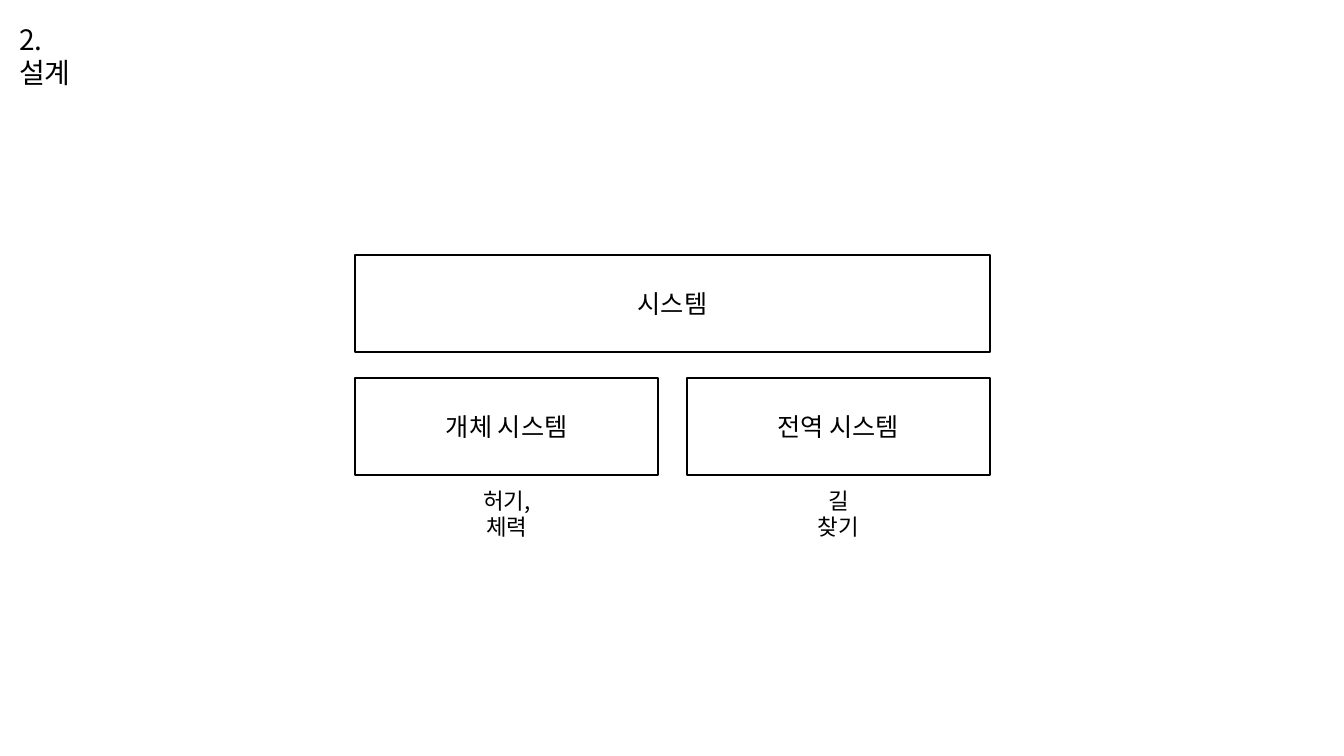
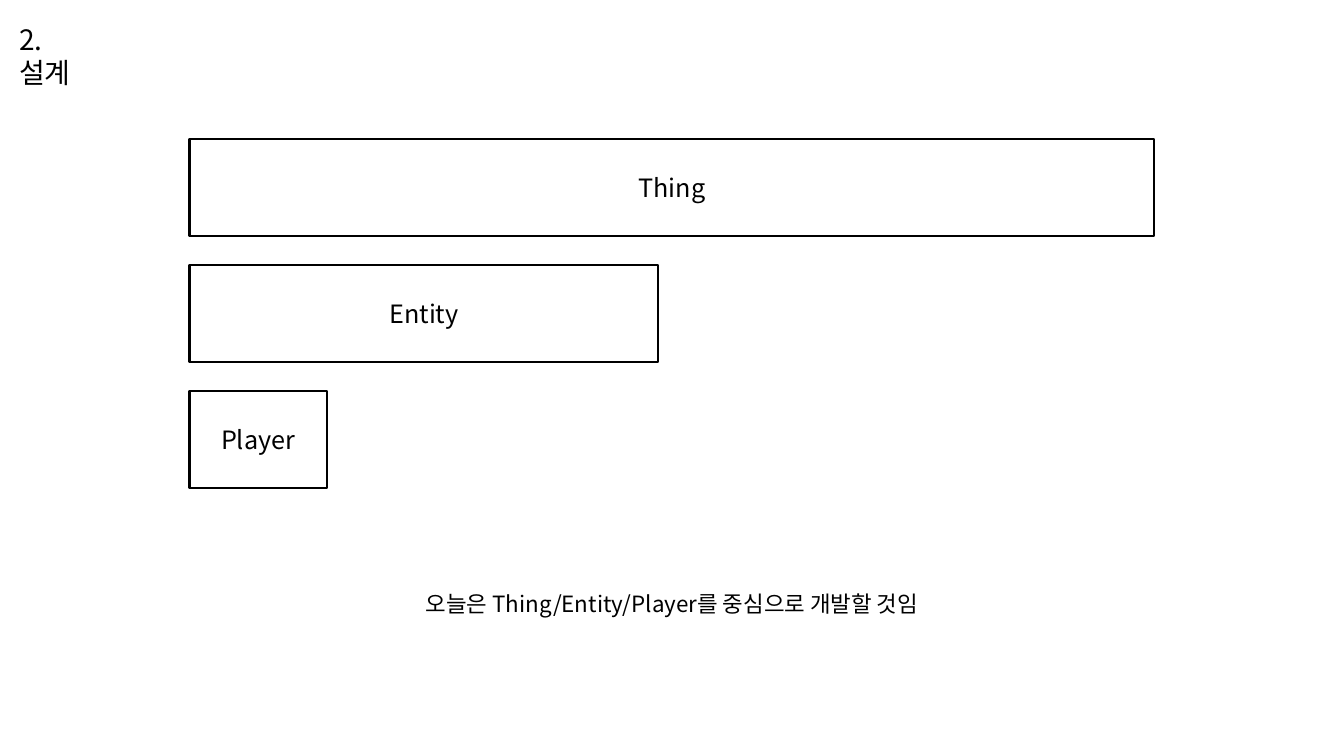
from lxml import etree
from pptx import Presentation
from pptx.dml.color import RGBColor
from pptx.enum import shapes, text
from pptx.oxml.ns import qn
from pptx.util import Inches, Pt

BLACK = RGBColor(0, 0, 0)
WHITE = RGBColor(255, 255, 255)
FONT = "Noto Sans CJK KR"
TITLE = "2. 설계"
HIGH = 0.96

SYSTEM = "시스템"
PARTS = [("개체 시스템", "허기, 체력", 1.12), ("전역 시스템", "길 찾기", 0.8)]
LEFT, TOP, WIDE, GAP = 3.52, 2.53, 6.3, 0.28
STEP = 1.22

LEVELS = [("Thing", 9.57), ("Entity", 4.65), ("Player", 1.36)]
EDGE, START, PITCH = 1.88, 1.38, 1.25
CLOSE = "오늘은 Thing/Entity/Player를 중심으로 개발할 것임"


def place(left, top, wide, high):
    return Inches(left), Inches(top), Inches(wide), Inches(high)


def write(frame, words, size, align, anchor):
    frame.word_wrap = True
    frame.vertical_anchor = anchor
    para = frame.paragraphs[0]
    para.alignment = align
    run = para.add_run()
    run.text = words
    run.font.size = Pt(size)
    run.font.color.rgb = BLACK
    run.font.name = FONT
    props = run._r.get_or_add_rPr()
    etree.SubElement(props, qn("a:ea")).set("typeface", FONT)


def add_slide(deck):
    slide = deck.slides.add_slide(deck.slide_layouts[5])
    title = slide.shapes.title
    title.left, title.top, title.width, title.height = place(0.09, 0.17, 0.95, 0.78)
    title.text_frame.auto_size = text.MSO_AUTO_SIZE.NONE
    write(title.text_frame, TITLE, 20, text.PP_ALIGN.LEFT, text.MSO_ANCHOR.TOP)
    return slide


def add_box(slide, words, left, top, wide):
    box = slide.shapes.add_shape(
        shapes.MSO_SHAPE.RECTANGLE, *place(left, top, wide, HIGH))
    box.shadow.inherit = False
    box.fill.solid()
    box.fill.fore_color.rgb = WHITE
    box.line.color.rgb = BLACK
    box.line.width = Pt(1.5)
    write(box.text_frame, words, 18, text.PP_ALIGN.CENTER, text.MSO_ANCHOR.MIDDLE)


def add_note(slide, words, mid, top, wide):
    note = slide.shapes.add_textbox(*place(mid - wide / 2, top, wide, 0.64))
    write(note.text_frame, words, 16, text.PP_ALIGN.CENTER, text.MSO_ANCHOR.TOP)


def draw_parts(deck):
    slide = add_slide(deck)
    add_box(slide, SYSTEM, LEFT, TOP, WIDE)
    part = (WIDE - GAP * (len(PARTS) - 1)) / len(PARTS)
    row = TOP + STEP
    for i, (name, note, wide) in enumerate(PARTS):
        left = LEFT + i * (part + GAP)
        add_box(slide, name, left, row, part)
        add_note(slide, note, left + part / 2, row + HIGH + 0.07, wide)


def draw_levels(deck):
    slide = add_slide(deck)
    for i, (name, wide) in enumerate(LEVELS):
        add_box(slide, name, EDGE, START + i * PITCH, wide)
    add_note(slide, CLOSE, EDGE + LEVELS[0][1] / 2, 5.81, 5.11)


def main():
    deck = Presentation()
    deck.slide_width, deck.slide_height = Inches(13.33), Inches(7.5)
    draw_parts(deck)
    draw_levels(deck)
    deck.save("out.pptx")


if __name__ == "__main__":
    main()
